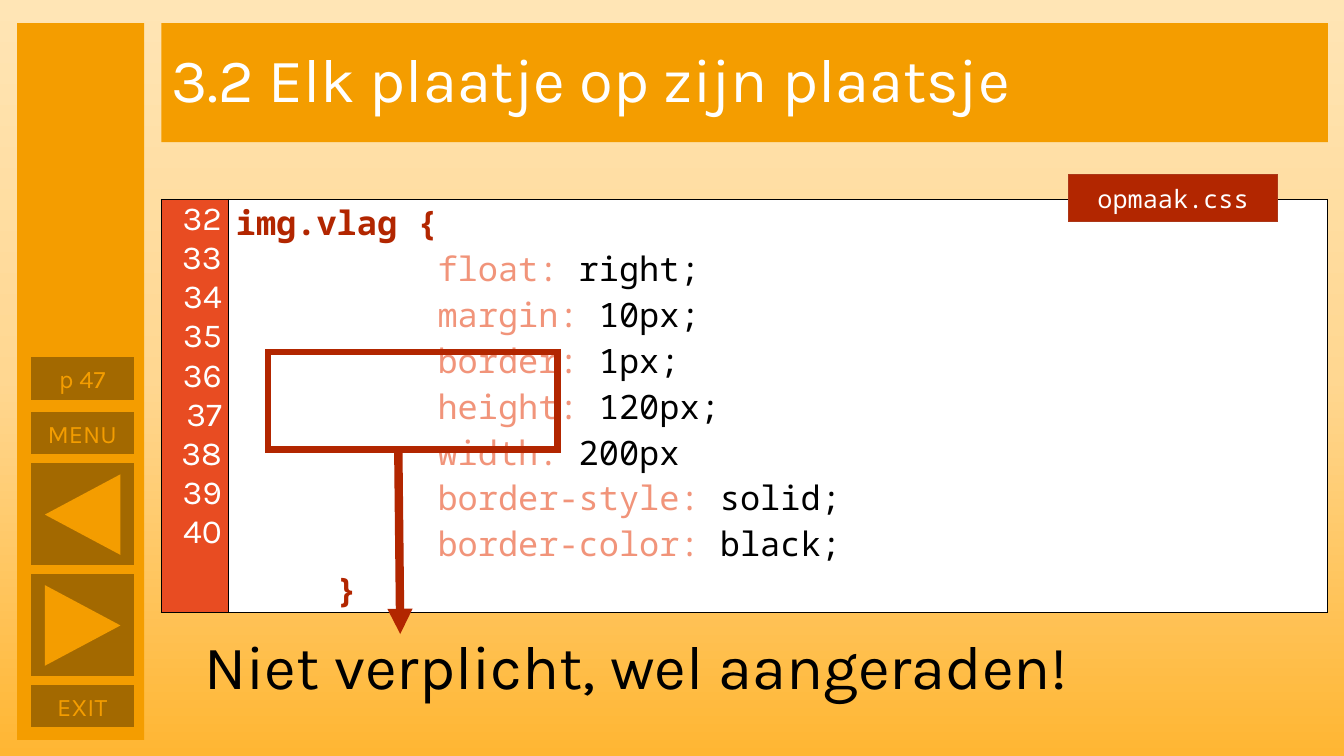
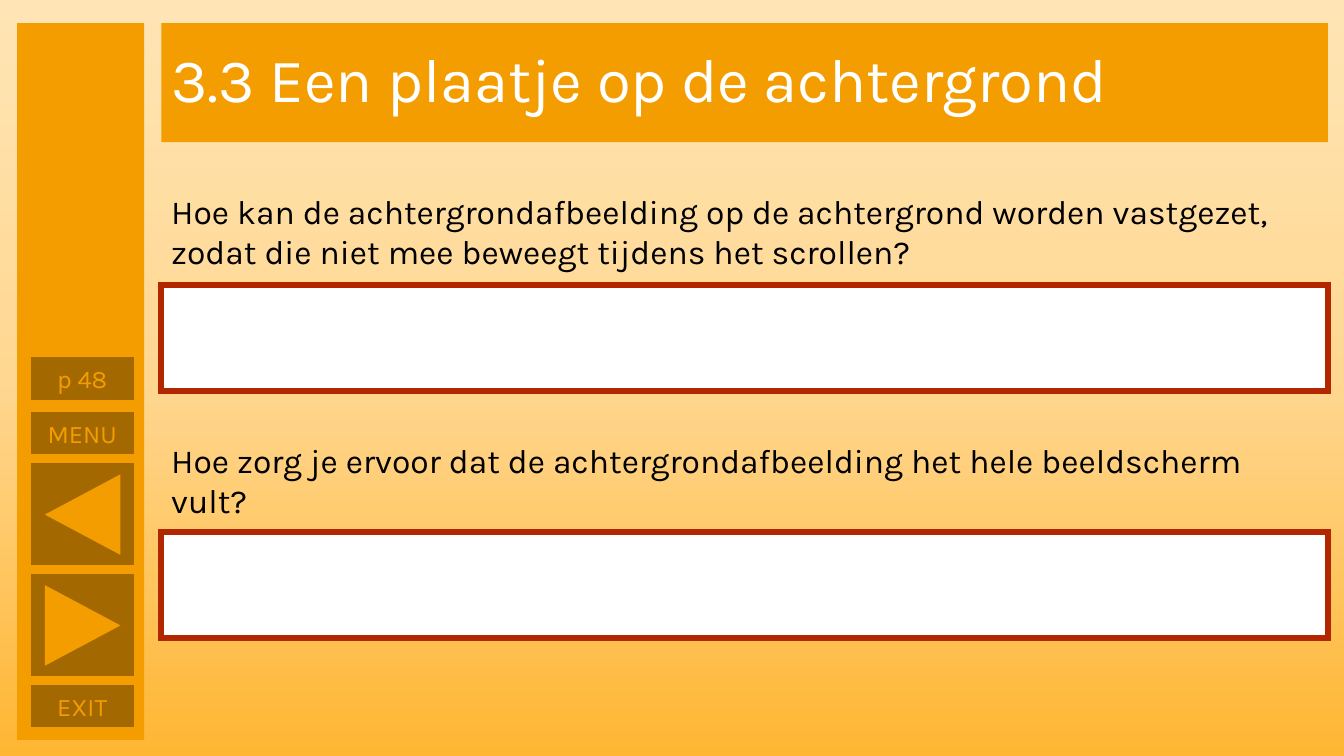
from copy import deepcopy

from lxml import etree
from pptx import Presentation, util as u
from pptx.dml.color import RGBColor
from pptx.enum import shapes, text
from pptx.oxml import parse_xml
from pptx.oxml.ns import nsdecls, qn

COLORS = {
    "orange": "F49D00", "brown": "A36900", "red": "B22600", "tab_edge": "AC3819",
    "gutter": "E84C22", "property": "F1947A", "white": "FFFFFF", "black": "000000",
}
BACKGROUND = [(0, "FFE5B5"), (0.5, "FFD791"), (1, "FFB633")]
FONT, CODE_FONT = "Karla", "Noto Sans Mono"
LEFT, WIDTH = 1.6, 11.57
RECTANGLE = shapes.MSO_SHAPE.RECTANGLE
TRIANGLE = shapes.MSO_SHAPE.ISOSCELES_TRIANGLE


def color(name):
    return RGBColor.from_string(COLORS[name])


def add_shape(slide, at, fill=None, line=None, line_width=1, kind=RECTANGLE):
    shape = slide.shapes.add_shape(kind, *map(u.Inches, at))
    shape.shadow.inherit = False
    if fill:
        shape.fill.solid()
        shape.fill.fore_color.rgb = color(fill)
    else:
        shape.fill.background()
    if line:
        shape.line.color.rgb = color(line)
        shape.line.width = u.Pt(line_width)
        etree.SubElement(shape.line._get_or_add_ln(), qn("a:miter"), lim="800000")
    else:
        shape.line.fill.background()
    return shape


def write(shape, words, size, color_name, font=FONT, align=text.PP_ALIGN.LEFT):
    """Fill a shape or text box with one wrapped paragraph and return it."""
    shape.text_frame.word_wrap = True
    paragraph = shape.text_frame.paragraphs[0]
    paragraph.text = words
    paragraph.alignment = align
    paragraph.font.size = u.Pt(size)
    paragraph.font.name = font
    paragraph.font.color.rgb = color(color_name)
    return paragraph


presentation = Presentation()
presentation.slide_width = u.Inches(13.33)
presentation.slide_height = u.Inches(7.5)

# Shared background
background = presentation.slide_master.background.fill
background.gradient()
background.gradient_angle = 270
stop_list = next(presentation.slide_master.element.iter(qn("a:gsLst")))
stop_list.insert(1, deepcopy(stop_list[0]))
for stop, (position, hex_color) in zip(background.gradient_stops, BACKGROUND):
    stop.position = position
    stop.color.rgb = RGBColor.from_string(hex_color)

# Shared title band and navigation
slides = []
for title, page in [("3.2 Elk plaatje op zijn plaatsje", "p 47"),
                    ("3.3 Een plaatje op de achtergrond", "p 48")]:
    slide = presentation.slides.add_slide(presentation.slide_layouts[6])
    slides.append(slide)
    title_band = add_shape(slide, (LEFT, 0.23, WIDTH, 1.18), "orange")
    write(title_band, title, 44, "white").line_spacing = 0.9
    add_shape(slide, (0.17, 0.23, 1.26, 7.11), "orange")
    for label, top in [(page, 3.55), ("MENU", 4.09), ("EXIT", 6.8)]:
        button = add_shape(slide, (0.31, top, 1.01, 0.41), "brown", "brown")
        write(button, label, 18, "orange", align=text.PP_ALIGN.CENTER)
    for top, rotation in [(4.6, 270), (5.7, 90)]:
        add_shape(slide, (0.31, top, 1.01, 1), "brown", "brown")
        arrow = add_shape(slide, (0.42, top + 0.13, 0.8, 0.75), "orange", kind=TRIANGLE)
        arrow.rotation = rotation

code_slide, question_slide = slides

# Slide 1: code listing, each line as an indent in inches and (colour, text) parts
FIRST_LINE = 32
declarations = [
    ("float:", " right;"), ("margin:", " 10px;"), ("border:", " 1px;"),
    ("height:", " 120px;"), ("width:", " 200px"),
    ("border-style:", " solid;"), ("border-color:", " black;"),
]
code_lines = [(0, [("red", "img.vlag {")])]
code_lines += [(2, [("property", name), ("black", value)]) for name, value in declarations]
code_lines += [(1, [("red", "}")])]

frame = code_slide.shapes.add_table(
    1, 2, u.Inches(LEFT), u.Inches(1.98), u.Inches(WIDTH), u.Inches(4.1))
table = frame.table
table.first_row = table.horz_banding = False
for column, width in zip(table.columns, (0.67, 10.9)):
    column.width = u.Inches(width)
number_cell, code_cell = table.rows[0].cells
for cell, fill in [(number_cell, "gutter"), (code_cell, "white")]:
    cell.margin_left = cell.margin_right = u.Inches(0.07)
    cell.margin_top = cell.margin_bottom = 0
    for side in "LRTB":
        cell._tc.get_or_add_tcPr().append(parse_xml(
            f'<a:ln{side} {nsdecls("a")} w="12700"><a:solidFill>'
            f'<a:srgbClr val="{COLORS["black"]}"/></a:solidFill></a:ln{side}>'))
    cell.fill.solid()
    cell.fill.fore_color.rgb = color(fill)
code_cell.vertical_anchor = text.MSO_ANCHOR.MIDDLE

for index, (indent, parts) in enumerate(code_lines):
    for cell in (number_cell, code_cell):
        if index:
            cell.text_frame.add_paragraph()
    number = number_cell.text_frame.paragraphs[index]
    number.text = str(FIRST_LINE + index)
    number.alignment = text.PP_ALIGN.RIGHT
    number.font.size = u.Pt(24)
    number.font.name = FONT
    number.font.color.rgb = color("white")
    code = code_cell.text_frame.paragraphs[index]
    code._p.get_or_add_pPr().set("marL", str(u.Inches(indent)))
    code.font.size = u.Pt(24)
    code.font.name = CODE_FONT
    code.font.bold = len(parts) == 1
    for color_name, words in parts:
        run = code.add_run()
        run.text = words
        run.font.color.rgb = color(color_name)

caption = code_slide.shapes.add_textbox(
    u.Inches(1.93), u.Inches(6.18), u.Inches(11.2), u.Inches(0.84))
write(caption, "Niet verplicht, wel aangeraden!", 44, "black")

pointer = code_slide.shapes.add_connector(
    shapes.MSO_CONNECTOR.STRAIGHT,
    u.Inches(3.95), u.Inches(4.43), u.Inches(3.97), u.Inches(6.29))
pointer.line.color.rgb = color("red")
pointer.line.width = u.Pt(6)
etree.SubElement(pointer.line._get_or_add_ln(), qn("a:tailEnd"), type="triangle")
etree.SubElement(pointer._element.spPr, qn("a:effectLst"))

add_shape(code_slide, (2.66, 3.49, 2.87, 0.97), line="red", line_width=4.5)
file_tab = add_shape(code_slide, (10.6, 1.73, 2.07, 0.47), "red", "tab_edge")
write(file_tab, "opmaak.css", 18, "white", CODE_FONT, text.PP_ALIGN.CENTER)

# Slide 2: questions with answer boxes
for question, question_top, answer_top in [
    ("Hoe kan de achtergrondafbeelding op de achtergrond worden vastgezet, "
     "zodat die niet mee beweegt tijdens het scrollen?", 1.84, 2.83),
    ("Hoe zorg je ervoor dat de achtergrondafbeelding het hele beeldscherm vult?", 4.31, 5.28),
]:
    question_box = question_slide.shapes.add_textbox(
        u.Inches(LEFT), u.Inches(question_top), u.Inches(WIDTH), u.Inches(0.91))
    write(question_box, question, 24, "black")
    add_shape(question_slide, (LEFT, answer_top, WIDTH, 1.05), "white", "red", 4.5)

presentation.save("out.pptx")
